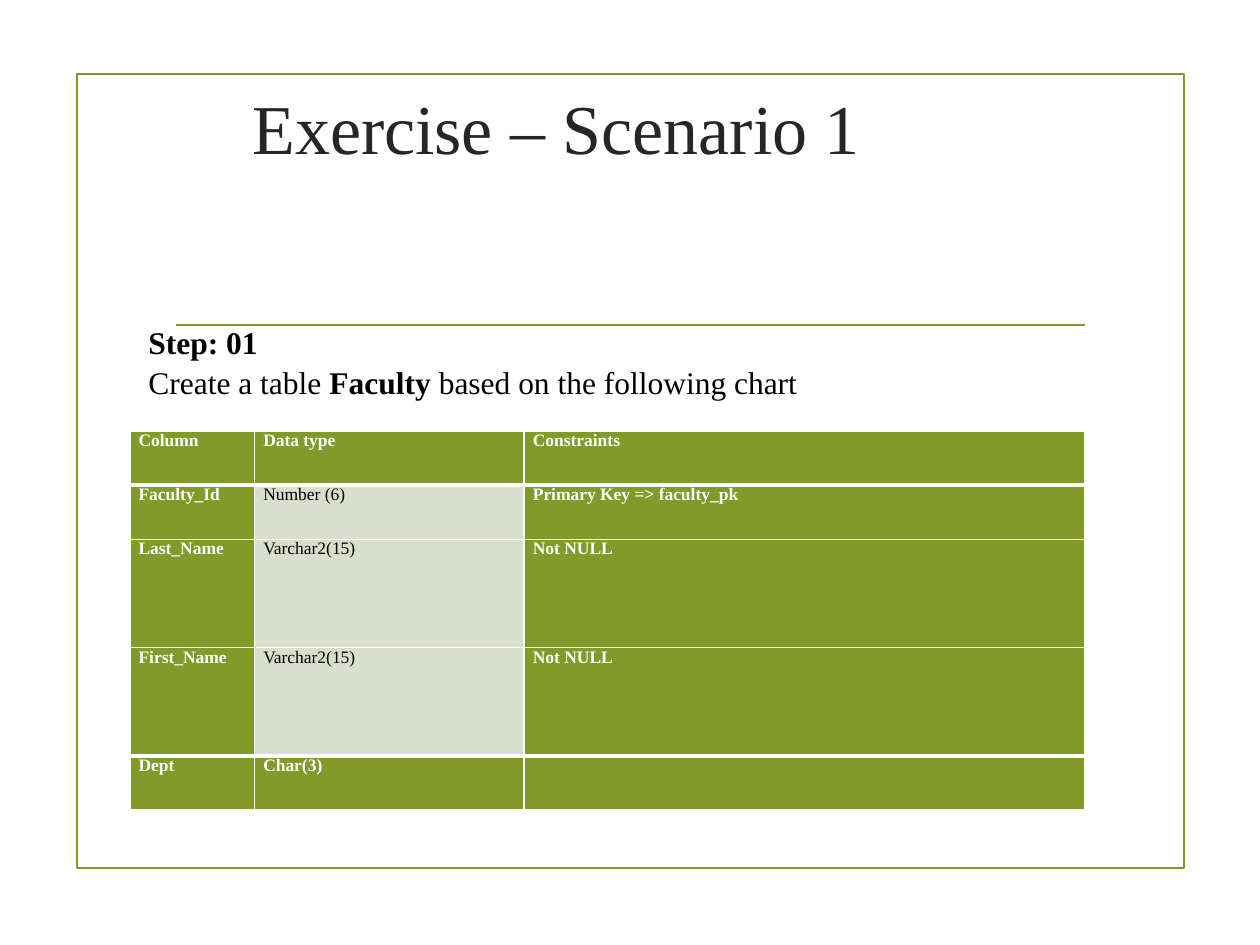
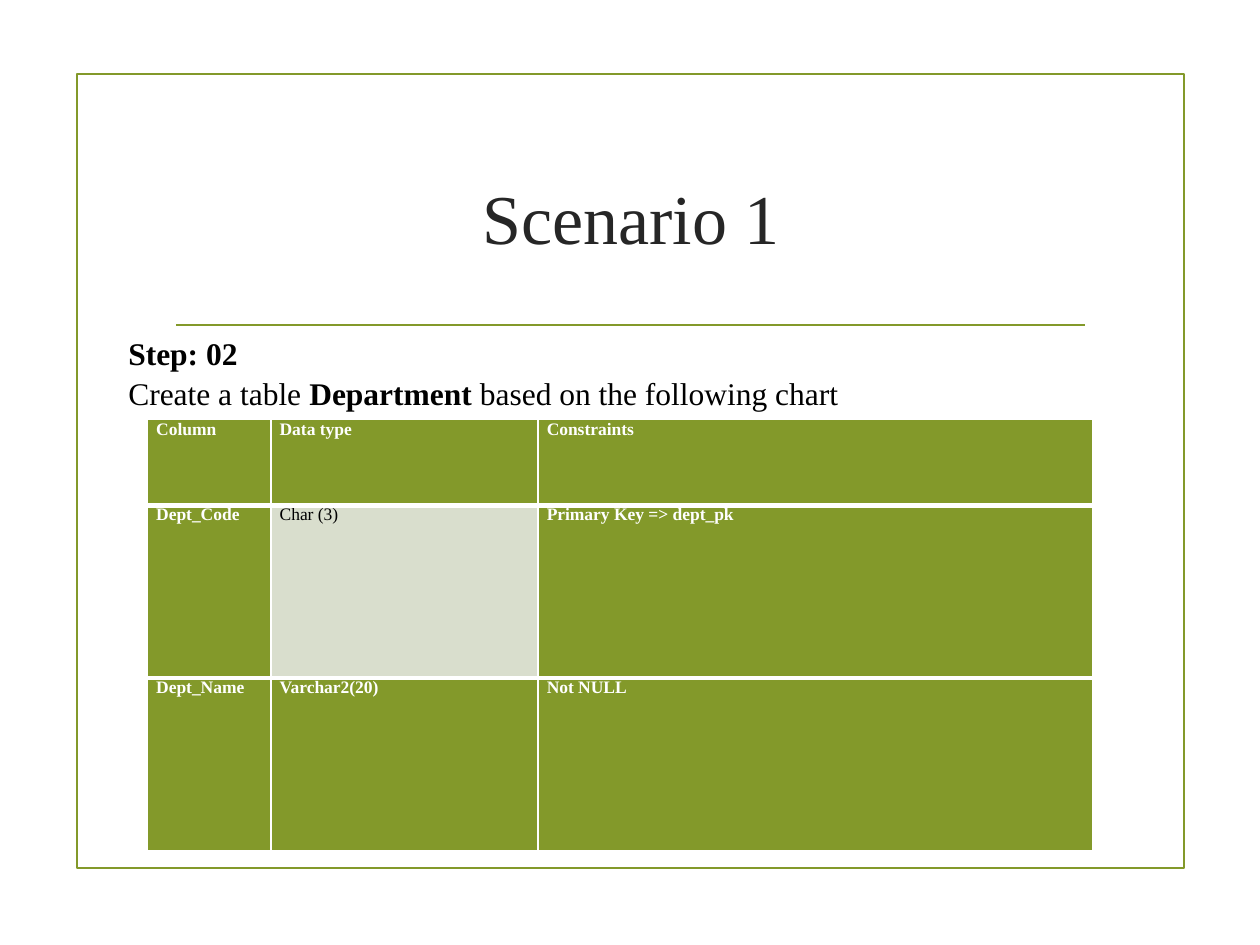
from dataclasses import dataclass

from lxml.etree import SubElement
from pptx import Presentation
from pptx.dml.color import RGBColor as Color
from pptx.enum.shapes import MSO_CONNECTOR as Connector, MSO_SHAPE as Shape
from pptx.enum.text import MSO_ANCHOR as Anchor, PP_ALIGN as Align
from pptx.oxml.ns import qn
from pptx.util import Inches, Pt


@dataclass(frozen=True)
class Theme:
    font: str = "Times New Roman"
    green: Color = Color(0x83, 0x99, 0x2A)
    pale: Color = Color(0xD9, 0xDE, 0xCD)
    title_color: Color = Color(0x26, 0x26, 0x26)
    white: Color = Color(0xFF, 0xFF, 0xFF)
    black: Color = Color(0, 0, 0)
    title_size: Pt = Pt(40)
    step_size: Pt = Pt(18)
    table_size: Pt = Pt(10)
    line_width: Pt = Pt(1.25)
    thin_border: Pt = Pt(1)
    thick_border: Pt = Pt(3)


theme = Theme()
header = ("Column", "Data type", "Constraints")
steps = [
    {
        "title": "Exercise – Scenario 1",
        "title_box": (0.25, 0.38, 8.33, 1.25),
        "step": "Step: 01",
        "table_name": "Faculty",
        "step_box": (1.08, 2.5, 7.17, 0.71),
        "table_box": (1.03, 3.42, 7.58, 3),
        "columns": (0.99, 2.14, 4.45),
        "row_heights": (0.43, 0.43, 0.86, 0.86, 0.43),
        "rows": [
            header,
            ("Faculty_Id", "Number (6)", "Primary Key => faculty_pk"),
            ("Last_Name", "Varchar2(15)", "Not NULL"),
            ("First_Name", "Varchar2(15)", "Not NULL"),
            ("Dept", "Char(3)", ""),
        ],
    },
    {
        "title": "Scenario 1",
        "title_box": (1.29, 1, 7.44, 1.43),
        "step": "Step: 02",
        "table_name": "Department",
        "step_box": (0.92, 2.58, 8.33, 0.71),
        "table_box": (1.17, 3.33, 7.5, 3.42),
        "columns": (0.98, 2.12, 4.4),
        "row_heights": (0.68, 1.37, 1.37),
        "rows": [
            header,
            ("Dept_Code", "Char (3)", "Primary Key => dept_pk"),
            ("Dept_Name", "Varchar2(20)", "Not NULL"),
        ],
    },
]


def style_font(font, size, color, bold=None):
    font.name = theme.font
    font.size = size
    font.color.rgb = color
    font.bold = bold


def add_borders(cell, top, bottom):
    properties = cell._tc.get_or_add_tcPr()
    thin = theme.thin_border
    for side, width in (("L", thin), ("R", thin), ("T", top), ("B", bottom)):
        line = SubElement(properties, qn(f"a:ln{side}"), w=str(int(width)))
        fill = SubElement(line, qn("a:solidFill"))
        SubElement(fill, qn("a:srgbClr"), val=str(theme.white))


presentation = Presentation()
presentation.slide_width = Inches(10)
presentation.slide_height = Inches(7.5)
title_only = presentation.slide_layouts[5]

for step in steps:
    slide = presentation.slides.add_slide(title_only)

    frame = slide.shapes.add_shape(
        Shape.RECTANGLE, Inches(0.61), Inches(0.59), Inches(8.79), Inches(6.3)
    )
    frame.shadow.inherit = False
    frame.fill.background()
    rule = slide.shapes.add_connector(
        Connector.STRAIGHT, Inches(1.4), Inches(2.58), Inches(8.61), Inches(2.58)
    )
    SubElement(rule._element.spPr, qn("a:effectLst"))
    for outline in (frame.line, rule.line):
        outline.color.rgb = theme.green
        outline.width = theme.line_width

    title = slide.shapes.title
    title.left, title.top, title.width, title.height = map(Inches, step["title_box"])
    title.text_frame.text = step["title"]
    title.text_frame.vertical_anchor = Anchor.MIDDLE
    paragraph = title.text_frame.paragraphs[0]
    paragraph.alignment = Align.CENTER
    style_font(paragraph.font, theme.title_size, theme.title_color)

    rows = step["rows"]
    table = slide.shapes.add_table(
        len(rows), len(header), *map(Inches, step["table_box"])
    ).table
    table.first_row = False
    table.horz_banding = False
    for column, width in zip(table.columns, step["columns"]):
        column.width = Inches(width)
    last = len(rows) - 1
    for row_index, values in enumerate(rows):
        table.rows[row_index].height = Inches(step["row_heights"][row_index])
        top = theme.thick_border if row_index in (1, last) else theme.thin_border
        bottom = theme.thick_border if row_index in (0, last - 1) else theme.thin_border
        for column_index, value in enumerate(values):
            cell = table.cell(row_index, column_index)
            plain = column_index == 1 and 0 < row_index < last
            add_borders(cell, top, bottom)
            cell.fill.solid()
            cell.fill.fore_color.rgb = theme.pale if plain else theme.green
            cell.margin_left = cell.margin_right = Inches(0.07)
            cell.margin_top = cell.margin_bottom = 0
            cell.text = value
            paragraph = cell.text_frame.paragraphs[0]
            paragraph.alignment = Align.JUSTIFY
            color = theme.black if plain else theme.white
            style_font(paragraph.font, theme.table_size, color, not plain)

    step_text = slide.shapes.add_textbox(*map(Inches, step["step_box"])).text_frame
    step_text.word_wrap = True
    step_text.text = step["step"]
    instruction = step_text.add_paragraph()
    for text, bold in (
        ("Create a table ", False),
        (step["table_name"], True),
        (" based on the following chart", False),
    ):
        run = instruction.add_run()
        run.text = text
        run.font.bold = bold
    for paragraph in step_text.paragraphs:
        paragraph.line_spacing = 1.06
        style_font(paragraph.font, theme.step_size, theme.black)
    step_text.paragraphs[0].font.bold = True

presentation.save("out.pptx")
